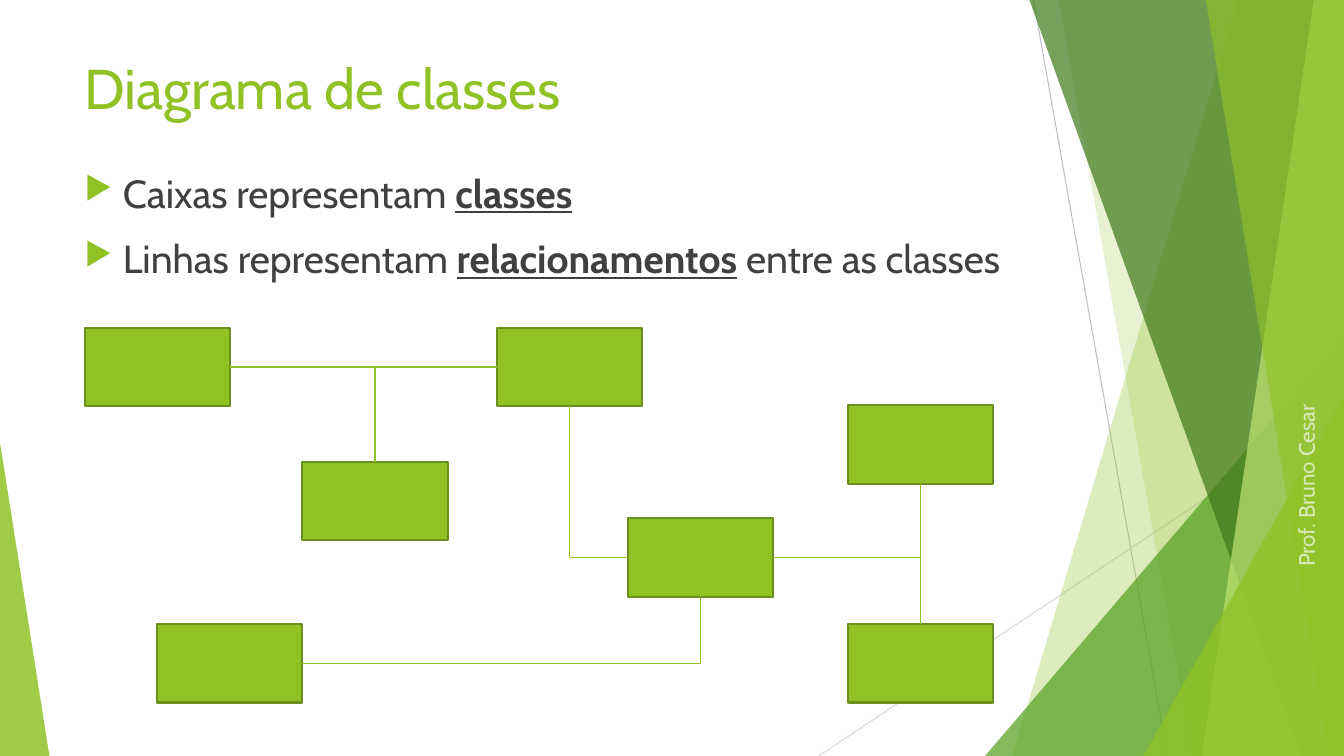
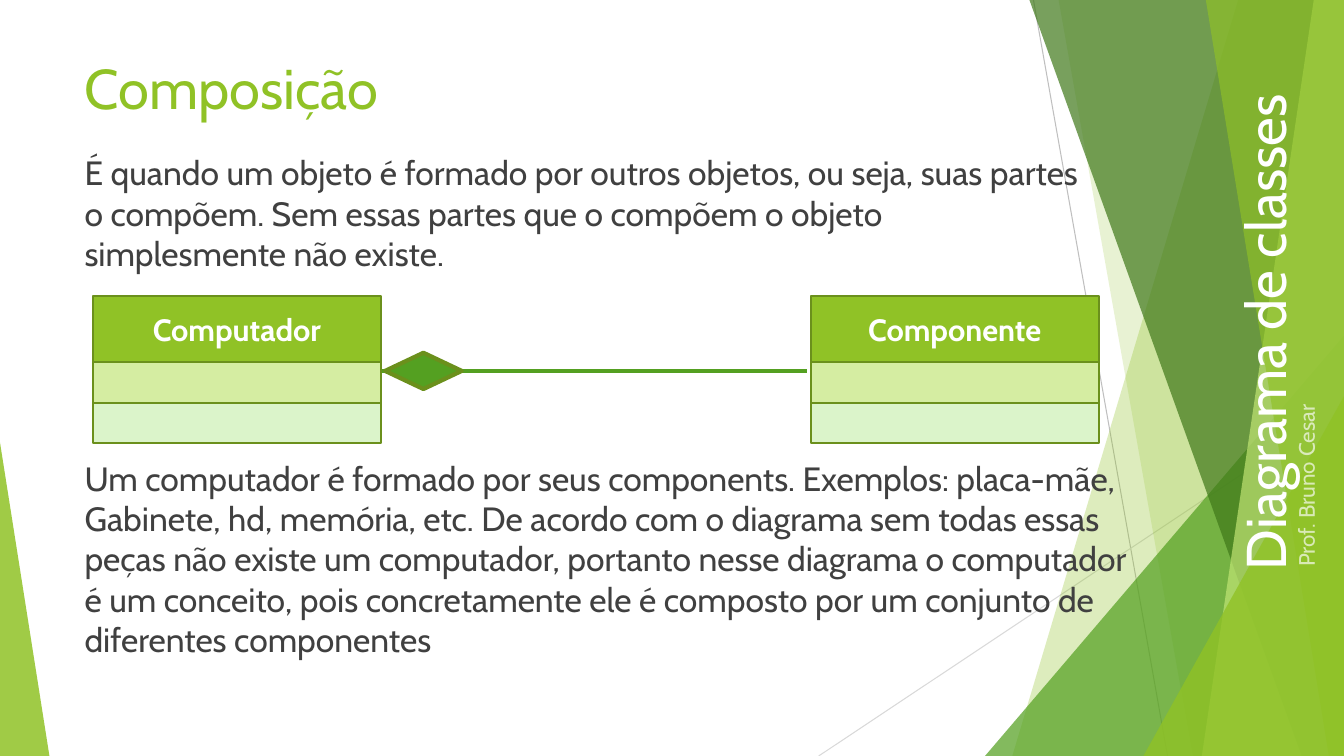
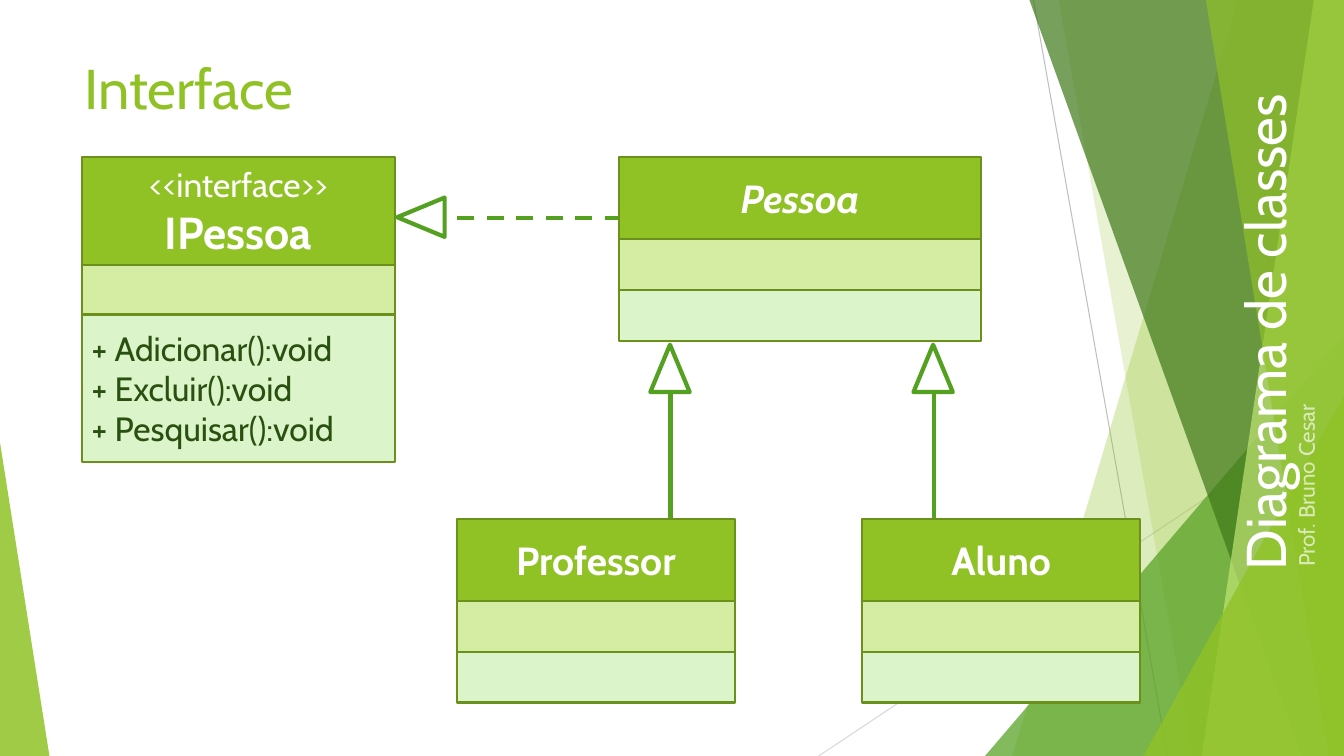
from lxml import etree
from pptx import Presentation
from pptx.dml.color import RGBColor
from pptx.enum.dml import MSO_LINE
from pptx.enum.shapes import MSO_CONNECTOR, MSO_SHAPE
from pptx.enum.text import MSO_ANCHOR, PP_ALIGN
from pptx.oxml.ns import qn
from pptx.util import Inches, Pt

RECTANGLE = MSO_SHAPE.RECTANGLE
TRIANGLE = MSO_SHAPE.ISOSCELES_TRIANGLE
DIAMOND = MSO_SHAPE.FLOWCHART_DECISION
STRAIGHT = MSO_CONNECTOR.STRAIGHT
DASH = MSO_LINE.DASH
TOP, MIDDLE = MSO_ANCHOR.TOP, MSO_ANCHOR.MIDDLE
LEFT, CENTER = PP_ALIGN.LEFT, PP_ALIGN.CENTER

FONT = "Cabin"
WIDTH, HEIGHT = 13.33, 7.5
COLORS = {
    "lime": "90C226",
    "pale lime": "C0E474",
    "green": "54A021",
    "forest": "3F7819",
    "border": "6B901C",
    "attributes": "D5EDA2",
    "operations": "DBF4CA",
    "operation text": "2A5010",
    "text": "404040",
    "white": "FFFFFF",
    "gray": "BFBFBF",
    "light gray": "D9D9D9",
}
BANDS = [
    (12.28, 10.04, "lime", 30),
    (10.5, 11.83, "lime", 20),
    (10.21, 12.91, "forest", 70),
    (13.03, 11.92, "pale lime", 70),
    (11.96, 13.18, "lime", 65),
]


def color(name):
    return RGBColor.from_string(COLORS[name])


def set_alpha(element, percent):
    for node in element.iter(qn("a:srgbClr")):
        etree.SubElement(node, qn("a:alpha"), val=str(percent * 1000))


class ClassDeck:
    """Builds green class-diagram slides, one current page at a time."""

    def __init__(self):
        self.deck = Presentation()
        self.deck.slide_width = Inches(WIDTH)
        self.deck.slide_height = Inches(HEIGHT)
        self.page = None

    def new_page(self, title, side_title=None):
        self.page = self.deck.slides.add_slide(self.deck.slide_layouts[5])
        self.backdrop()
        box = self.page.shapes.title
        box.left, box.top = Inches(0.74), Inches(0.48)
        box.width, box.height = Inches(9.4), Inches(0.93)
        self.fill_text(box, [title], 40, "lime")
        if side_title:
            self.text(9.84, 2.67, 5.4, 0.77, [side_title], 40, "white").rotation = 270
        author = self.text(11.8, 4.3, 2.39, 0.45, ["Prof. Bruno Cesar"], 16, "white")
        author.rotation = 270
        set_alpha(author.element, 65)

    def backdrop(self):
        self.line(10.25, 0, 11.58, HEIGHT, "gray", 0.75)
        self.line(WIDTH, 4.03, 8.12, HEIGHT, "light gray", 0.75)
        for band in BANDS[:2]:
            self.band(*band)
        self.wedge(9.77, 3.33, 3.56, 4.17, "green", 72, 1)
        for band in BANDS[2:]:
            self.band(*band)
        self.wedge(11.34, 3.93, 1.99, 3.57, "lime", 80, 1)
        self.wedge(0, 4.39, 0.49, 3.11, "lime", 85, 0)

    def band(self, top_left, bottom_left, fill, alpha):
        outline = self.page.shapes.build_freeform(Inches(top_left), 0)
        outline.add_line_segments([
            (Inches(WIDTH), 0),
            (Inches(WIDTH), Inches(HEIGHT)),
            (Inches(bottom_left), Inches(HEIGHT)),
        ])
        shape = outline.convert_to_shape()
        self.paint(shape, fill)
        set_alpha(shape.element.spPr, alpha)

    def wedge(self, left, top, width, height, fill, alpha, apex):
        shape = self.shape(TRIANGLE, left, top, width, height, fill)
        shape.adjustments[0] = apex
        set_alpha(shape.element.spPr, alpha)

    def paint(self, shape, fill, border=None, weight=1.5):
        shape.shadow.inherit = False
        shape.fill.solid()
        shape.fill.fore_color.rgb = color(fill)
        if border:
            shape.line.color.rgb = color(border)
            shape.line.width = Pt(weight)
        else:
            shape.line.fill.background()

    def shape(self, kind, left, top, width, height, fill, border=None, weight=1.5):
        shape = self.page.shapes.add_shape(
            kind, Inches(left), Inches(top), Inches(width), Inches(height))
        self.paint(shape, fill, border, weight)
        return shape

    def line(self, x1, y1, x2, y2, stroke, weight, dash=None):
        line = self.page.shapes.add_connector(
            STRAIGHT, Inches(x1), Inches(y1), Inches(x2), Inches(y2))
        line.line.color.rgb = color(stroke)
        line.line.width = Pt(weight)
        if dash:
            line.line.dash_style = dash
        etree.SubElement(line.element.spPr, qn("a:effectLst"))

    def fill_text(self, box, paragraphs, size, ink, align=LEFT, anchor=TOP,
                  bold=None, italic=None, bullet=False):
        frame = box.text_frame
        frame.word_wrap = True
        frame.vertical_anchor = anchor
        for index, spans in enumerate(paragraphs):
            para = frame.add_paragraph() if index else frame.paragraphs[0]
            para.alignment = align
            if bullet:
                self.bullet(para)
                para.line_spacing = 1.1
                if index:
                    para.space_before = Pt(10)
            font = para.font
            font.name, font.size = FONT, Pt(size)
            font.color.rgb = color(ink)
            font.bold, font.italic = bold, italic
            for span in [spans] if isinstance(spans, str) else spans:
                self.span(para, span)

    def span(self, para, span):
        if span == "\n":
            para.add_line_break()
            return
        text, style = (span, {}) if isinstance(span, str) else span
        run = para.add_run()
        run.text = text
        run.font.bold = style.get("bold")
        run.font.underline = style.get("underline")
        run.font.size = style.get("size")

    def bullet(self, para):
        props = para._p.get_or_add_pPr()
        props.set("marL", str(Inches(0.38)))
        props.set("indent", str(-Inches(0.38)))
        tint = etree.SubElement(props, qn("a:buClr"))
        etree.SubElement(tint, qn("a:srgbClr"), val=COLORS["lime"])
        etree.SubElement(props, qn("a:buSzPct"), val="80000")
        etree.SubElement(props, qn("a:buChar"), char="▶")

    def text(self, left, top, width, height, paragraphs, size, ink="text", **style):
        box = self.page.shapes.add_textbox(
            Inches(left), Inches(top), Inches(width), Inches(height))
        self.fill_text(box, paragraphs, size, ink, **style)
        return box

    def class_box(self, left, top, width, heights, name, size,
                  bold=True, italic=None, operations=()):
        parts = []
        for height, fill in zip(heights, ("lime", "attributes", "operations")):
            parts.append(self.shape(RECTANGLE, left, top, width, height, fill, "border"))
            top += height
        self.fill_text(parts[0], [name], size, "white", CENTER, MIDDLE, bold, italic)
        if operations:
            self.fill_text(parts[2], operations, 24, "operation text", anchor=MIDDLE)

    def arrowhead(self, left, top, rotation=0):
        head = self.shape(TRIANGLE, left, top, 0.39, 0.47, "white", "green", 3)
        head.rotation = rotation


def relations_page(slides):
    slides.new_page("Diagrama de classes")
    strong = {"bold": True, "underline": True}
    slides.text(0.74, 1.58, 10.51, 1.46, [
        ["Caixas representam ", ("classes", strong)],
        ["Linhas representam ", ("relacionamentos", strong), " entre as classes"],
    ], 28, bullet=True)
    width, height = 1.44, 0.78
    nodes = [(0.84, 3.25), (3, 4.58), (4.93, 3.25), (1.56, 6.19),
             (6.23, 5.14), (8.41, 4.02), (8.41, 6.19)]
    for left, top in nodes:
        slides.shape(RECTANGLE, left, top, width, height, "lime", "border")
    first, below, second, bottom, hub, upper, lower = [
        (left + width / 2, top + height / 2) for left, top in nodes]
    side, half = width / 2, height / 2
    for ends in [
        (first[0] + side, first[1], second[0] - side, second[1]),
        (below[0], first[1], below[0], below[1] - half),
        (second[0], second[1] + half, second[0], hub[1]),
        (second[0], hub[1], hub[0] - side, hub[1]),
        (bottom[0] + side, bottom[1], hub[0], bottom[1]),
        (hub[0], bottom[1], hub[0], hub[1] + half),
        (upper[0], upper[1] + half, lower[0], lower[1] - half),
        (hub[0] + side, hub[1], upper[0], hub[1]),
    ]:
        slides.line(*ends, "lime", 1)


def composition_page(slides):
    slides.new_page("Composição", "Diagrama de classes")
    slides.text(0.74, 1.46, 10.16, 1.79, [
        "É quando um objeto é formado por outros objetos, ou seja, suas partes "
        "o compõem. Sem essas partes que o compõem o objeto simplesmente não existe."
    ], 24)
    slides.line(3.62, 3.68, 8, 3.68, "green", 3)
    for left, name in [(0.92, "Computador"), (8.04, "Componente")]:
        slides.class_box(left, 2.94, 2.86, (0.65, 0.41, 0.4), name, 22)
    slides.shape(DIAMOND, 3.82, 3.5, 0.76, 0.36, "green", "border", 3)
    slides.text(0.74, 4.49, 10.75, 2.69, [
        "Um computador é formado por seus components. Exemplos: placa-mãe, "
        "Gabinete, hd, memória, etc. De acordo com o diagrama sem todas essas "
        "peças não existe um computador, portanto nesse diagrama o computador "
        "é um conceito, pois concretamente ele é composto por um conjunto de "
        "diferentes componentes"
    ], 24)


def interface_page(slides):
    slides.new_page("Interface", "Diagrama de classes")
    for center in (6.65, 9.26):
        slides.line(center, 5.32, center, 3.89, "green", 3)
        slides.arrowhead(center - 0.2, 3.42)
    name = ["<<interface>>", "\n", ("IPessoa", {"size": Pt(32), "bold": True})]
    slides.class_box(0.81, 1.56, 3.11, (1.07, 0.49, 1.46), name, 24, bold=None, operations=[
        "+ Adicionar():void", "+ Excluir():void", "+ Pesquisar():void"])
    slides.line(7.04, 2.16, 4.42, 2.16, "green", 3, DASH)
    slides.arrowhead(3.98, 1.92, 270)
    heights = (0.81, 0.51, 0.5)
    slides.class_box(6.14, 1.56, 3.59, heights, "Pessoa", 28, italic=True)
    for left, name in [(4.53, "Professor"), (8.55, "Aluno")]:
        slides.class_box(left, 5.15, 2.76, heights, name, 28)


def main():
    slides = ClassDeck()
    relations_page(slides)
    composition_page(slides)
    interface_page(slides)
    slides.deck.save("out.pptx")


if __name__ == "__main__":
    main()
